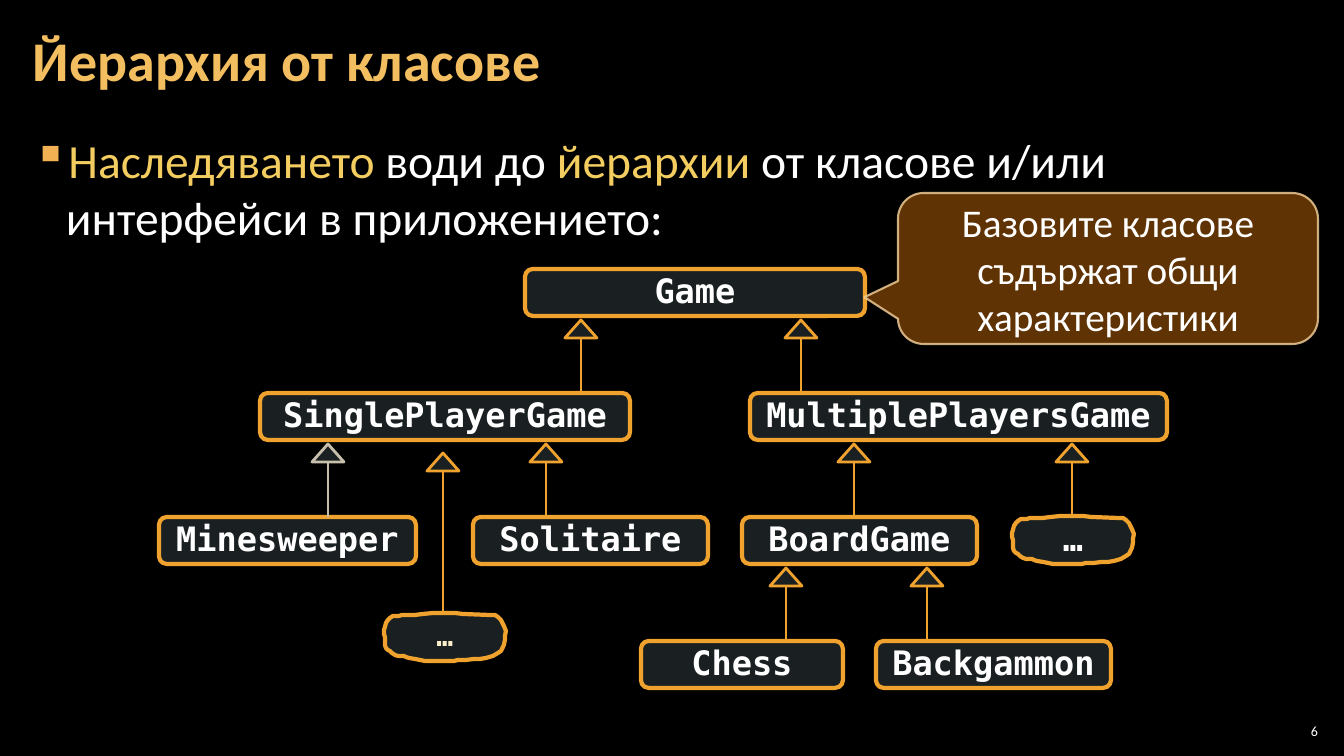
from dataclasses import dataclass
from typing import Any

import lxml.etree
import pptx
import pptx.dml.color
import pptx.enum.shapes
import pptx.enum.text
import pptx.oxml.ns
import pptx.shapes.autoshape
import pptx.slide
import pptx.text.text
import pptx.util

EMU_PER_PX = 12192000 / 1344
SANS = "Calibri"
MONO = "DejaVu Sans Mono"
ORANGE = "F0A22E"
WHITE = "FFFFFF"
PALE_BLUE = "B5DBE5"
BOX_HEIGHT = 47
LEVEL_TOPS = [269 + 124 * level for level in range(4)]
ARROW_GAP = 4
HEAD_WIDTH, HEAD_HEIGHT = 32, 18

SHAPES = pptx.enum.shapes.MSO_SHAPE
ALIGN = pptx.enum.text.PP_ALIGN
ANCHOR = pptx.enum.text.MSO_ANCHOR

BLOB_OUTLINE = [
    (0, 17), (1, 14), (2, 10), (4, 7), (6, 5), (9, 3), (15, 3), (18, 2), (31, 2),
    (39, 1), (49, 0), (71, 0), (79, 1), (105, 2), (111, 2), (114, 4), (117, 7),
    (120, 13), (122, 18), (121, 23), (121, 27), (120, 32), (117, 38), (114, 40),
    (109, 43), (102, 45), (96, 46), (90, 46), (82, 47), (74, 47), (70, 48),
    (41, 48), (36, 47), (31, 46), (25, 45), (22, 44), (20, 43), (14, 43),
    (11, 42), (8, 40), (6, 38), (4, 37), (2, 35), (1, 32), (1, 24), (0, 21),
]


@dataclass
class ClassBox:
    name: str
    level: int
    left: int
    width: int


@dataclass
class Arrow:
    tip_x: int
    tip_y: int
    end_y: int
    color: str = ORANGE


@dataclass
class Blob:
    left: int
    top: int
    size: int
    color: str


@dataclass
class Span:
    text: str
    color: str


CLASS_BOXES = [
    ClassBox("Game", 0, 525, 340),
    ClassBox("SinglePlayerGame", 1, 260, 370),
    ClassBox("MultiplePlayersGame", 1, 750, 417),
    ClassBox("Minesweeper", 2, 159, 257),
    ClassBox("Solitaire", 2, 473, 235),
    ClassBox("BoardGame", 2, 742, 235),
    ClassBox("Chess", 3, 641, 202),
    ClassBox("Backgammon", 3, 876, 235),
]
BLOBS = [Blob(1012, 516, 24, WHITE), Blob(384, 613, 20, "FBEEC9")]


def level_arrow(tip_x: int, level: int, color: str = ORANGE) -> Arrow:
    tip_y = LEVEL_TOPS[level] + BOX_HEIGHT + ARROW_GAP
    return Arrow(tip_x, tip_y, LEVEL_TOPS[level + 1], color)


ARROWS = [
    level_arrow(581, 0), level_arrow(801, 0),
    level_arrow(328, 1, "C7BFAC"), level_arrow(546, 1),
    level_arrow(854, 1), level_arrow(1072, 1),
    level_arrow(786, 2), level_arrow(927, 2),
    Arrow(443, 453, 613),
]


def px(length: int) -> pptx.util.Emu:
    return pptx.util.Emu(round(length * EMU_PER_PX))


def rgb(color: str) -> pptx.dml.color.RGBColor:
    return pptx.dml.color.RGBColor.from_string(color)


def apply(target: Any, values: dict[str, Any]) -> None:
    for name, value in values.items():
        setattr(target, name, value)


def set_opacity(solid_fill: Any, percent: int) -> None:
    lxml.etree.SubElement(
        solid_fill[0], pptx.oxml.ns.qn("a:alpha"), val=str(percent * 1000)
    )


def style_shape(shape: pptx.shapes.autoshape.Shape, fill: str, opacity: int,
                line: str, width: float) -> None:
    shape.shadow.inherit = False
    shape.fill.solid()
    shape.fill.fore_color.rgb = rgb(fill)
    set_opacity(shape.element.spPr.find(pptx.oxml.ns.qn("a:solidFill")), opacity)
    shape.line.color.rgb = rgb(line)
    shape.line.width = pptx.util.Pt(width)


def write_text(frame: pptx.text.text.TextFrame, spans: list[Span], font: dict[str, Any],
               layout: dict[str, Any], paragraph: dict[str, Any]) -> None:
    apply(frame, layout)
    para = frame.paragraphs[0]
    apply(para, paragraph)
    for span in spans:
        run = para.add_run()
        run.text = span.text
        apply(run.font, font)
        run.font.color.rgb = rgb(span.color)


def write_code(shape: pptx.shapes.autoshape.Shape, text: str, size: int, color: str) -> None:
    write_text(
        shape.text_frame, [Span(text, color)],
        {"name": MONO, "size": pptx.util.Pt(size), "bold": True},
        {"word_wrap": False, "vertical_anchor": ANCHOR.MIDDLE},
        {"alignment": ALIGN.CENTER, "line_spacing": 0.95},
    )


def draw_class_box(page: pptx.slide.Slide, item: ClassBox) -> None:
    box = page.shapes.add_shape(
        SHAPES.ROUNDED_RECTANGLE, px(item.left), px(LEVEL_TOPS[item.level]),
        px(item.width), px(BOX_HEIGHT),
    )
    style_shape(box, PALE_BLUE, 15, ORANGE, 3)
    write_code(box, item.name, 24, WHITE)


def draw_arrow(page: pptx.slide.Slide, arrow: Arrow) -> None:
    head = page.shapes.add_shape(
        SHAPES.ISOSCELES_TRIANGLE, px(arrow.tip_x - HEAD_WIDTH // 2), px(arrow.tip_y),
        px(HEAD_WIDTH), px(HEAD_HEIGHT),
    )
    style_shape(head, PALE_BLUE, 15, arrow.color, 2)
    stem = page.shapes.add_connector(
        pptx.enum.shapes.MSO_CONNECTOR.STRAIGHT, px(arrow.tip_x),
        px(arrow.tip_y + HEAD_HEIGHT), px(arrow.tip_x), px(arrow.end_y),
    )
    stem.line.color.rgb = rgb(arrow.color)
    stem.line.width = pptx.util.Pt(2)
    lxml.etree.SubElement(stem.element.spPr, pptx.oxml.ns.qn("a:effectLst"))


def draw_blob(page: pptx.slide.Slide, blob: Blob) -> None:
    builder = page.shapes.build_freeform(*BLOB_OUTLINE[0], scale=EMU_PER_PX)
    builder.add_line_segments(BLOB_OUTLINE[1:], close=True)
    shape = builder.convert_to_shape(px(blob.left), px(blob.top))
    style_shape(shape, PALE_BLUE, 15, ORANGE, 3)
    write_code(shape, "…", blob.size, blob.color)


def draw_title(page: pptx.slide.Slide) -> None:
    title = page.shapes.title
    apply(title, {"left": px(21), "top": px(4), "width": px(1055), "height": px(122)})
    write_text(
        title.text_frame, [Span("Йерархия от класове", "F3BE60")],
        {"name": SANS, "size": pptx.util.Pt(40), "bold": True},
        {"word_wrap": True, "vertical_anchor": ANCHOR.MIDDLE,
         "auto_size": pptx.enum.text.MSO_AUTO_SIZE.NONE,
         "margin_left": px(12), "margin_right": px(12),
         "margin_top": px(4), "margin_bottom": px(4)},
        {"alignment": ALIGN.LEFT, "line_spacing": pptx.util.Pt(40)},
    )


def draw_body(page: pptx.slide.Slide) -> None:
    box = page.shapes.add_textbox(px(21), px(127), px(1301), px(614))
    properties = box.text_frame.paragraphs[0]._p.get_or_add_pPr()
    apply_indent = {"marL": px(33), "indent": -px(33)}
    for name, value in apply_indent.items():
        properties.set(name, str(value))
    bullet_color = lxml.etree.SubElement(properties, pptx.oxml.ns.qn("a:buClr"))
    lxml.etree.SubElement(bullet_color, pptx.oxml.ns.qn("a:srgbClr"), val="F2B254")
    lxml.etree.SubElement(properties, pptx.oxml.ns.qn("a:buChar"), char="▪")
    spans = [
        Span("Наследяването ", "F3CD60"),
        Span("води до ", WHITE),
        Span("йерархии ", "F3CD60"),
        Span("от класове и/или интерфейси в приложението:", WHITE),
    ]
    write_text(
        box.text_frame, spans, {"name": SANS, "size": pptx.util.Pt(34)},
        {"word_wrap": True, "margin_left": px(12), "margin_right": px(12),
         "margin_top": px(4), "margin_bottom": px(4)},
        {"alignment": ALIGN.LEFT, "space_after": pptx.util.Pt(6)},
    )


def draw_page_number(page: pptx.slide.Slide) -> None:
    box = page.shapes.add_textbox(px(1275), px(720), px(47), px(21))
    margins = {f"margin_{side}": px(4) for side in ("left", "right", "top", "bottom")}
    write_text(
        box.text_frame, [Span("6", WHITE)], {"name": SANS, "size": pptx.util.Pt(10)},
        {"word_wrap": True, "vertical_anchor": ANCHOR.MIDDLE, **margins},
        {"alignment": ALIGN.RIGHT},
    )


def draw_callout(page: pptx.slide.Slide) -> None:
    callout = page.shapes.add_shape(
        SHAPES.ROUNDED_RECTANGULAR_CALLOUT, px(898), px(193), px(420), px(151)
    )
    for index, value in enumerate((-0.58, 0.19, 0.17)):
        callout.adjustments[index] = value
    style_shape(callout, "663606", 95, "F8D49E", 1.5)
    set_opacity(callout.line._ln.find(pptx.oxml.ns.qn("a:solidFill")), 80)
    write_text(
        callout.text_frame, [Span("Базовите класове съдържат общи характеристики", WHITE)],
        {"name": SANS, "size": pptx.util.Pt(28)},
        {"word_wrap": True, "vertical_anchor": ANCHOR.MIDDLE},
        {"alignment": ALIGN.CENTER},
    )


def main() -> None:
    deck = pptx.Presentation()
    apply(deck, {"slide_width": px(1344), "slide_height": px(756)})
    page = deck.slides.add_slide(deck.slide_layouts.get_by_name("Title Only"))
    page.background.fill.solid()
    page.background.fill.fore_color.rgb = rgb("000000")
    draw_title(page)
    draw_body(page)
    for item in CLASS_BOXES:
        draw_class_box(page, item)
    for arrow in ARROWS:
        draw_arrow(page, arrow)
    for blob in BLOBS:
        draw_blob(page, blob)
    draw_page_number(page)
    draw_callout(page)
    deck.save("out.pptx")


if __name__ == "__main__":
    main()
